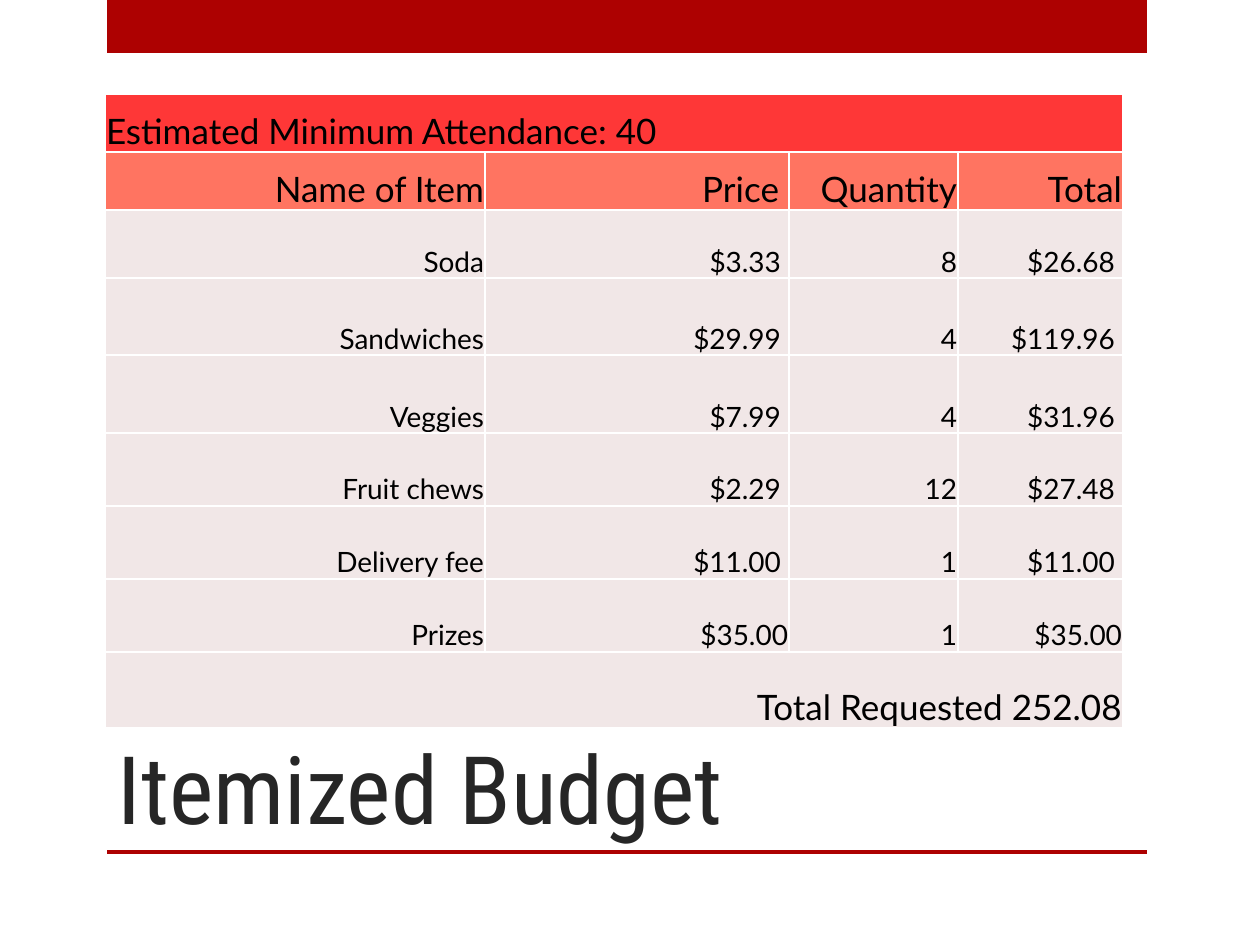
from lxml import etree
from pptx import Presentation
from pptx.dml.color import RGBColor
from pptx.enum.shapes import MSO_SHAPE
from pptx.enum.text import MSO_ANCHOR, MSO_AUTO_SIZE, PP_ALIGN
from pptx.oxml.ns import qn
from pptx.util import Pt

RECT = MSO_SHAPE.RECTANGLE
BOTTOM = MSO_ANCHOR.BOTTOM
LEFT, RIGHT = PP_ALIGN.LEFT, PP_ALIGN.RIGHT
NO_FIT = MSO_AUTO_SIZE.NONE
PX = 914400 / 126
COLORS = {"bar": "AD0101", "title": "262626", "text": "000000", "line": "FFFFFF",
          "banner": "FE3737", "head": "FF7461", "body": "F1E7E7"}


def px(*vals):
    return [round(v * PX) for v in vals]


def write(frame, text, size, font, color, align):
    para = frame.paragraphs[0]
    para.alignment = align
    run = para.add_run()
    run.text = text
    run.font.size = Pt(size)
    run.font.name = font
    run.font.color.rgb = RGBColor.from_string(COLORS[color])


prs = Presentation()
prs.slide_width, prs.slide_height = px(1260, 945)
slide = prs.slides.add_slide(prs.slide_layouts[5])

title = slide.shapes.title
title.left, title.top, title.width, title.height = px(105, 630, 935, 220)
frame = title.text_frame
frame.word_wrap = True
frame.auto_size = NO_FIT
frame.vertical_anchor = BOTTOM
write(frame, "Itemized Budget", 54, "Roboto Condensed", "title", LEFT)

for top, height in [(0, 53), (850, 4)]:
    bar = slide.shapes.add_shape(RECT, *px(107, top, 1040, height))
    bar.shadow.inherit = False
    bar.fill.solid()
    bar.fill.fore_color.rgb = RGBColor.from_string(COLORS["bar"])
    bar.line.fill.background()

rows = [
    ["Estimated Minimum Attendance: 40"],
    ["Name of Item", "Price ", "Quantity", "Total"],
    ["Soda", "$3.33 ", "8", "$26.68 "],
    ["Sandwiches", "$29.99 ", "4", "$119.96 "],
    ["Veggies", "$7.99 ", "4", "$31.96 "],
    ["Fruit chews", "$2.29 ", "12", "$27.48 "],
    ["Delivery fee", "$11.00 ", "1", "$11.00 "],
    ["Prizes", "$35.00", "1", "$35.00"],
    ["Total Requested 252.08"],
]
widths = [380, 304, 169, 165]
heights = [58, 58, 68, 77, 78, 73, 73, 73, 76]
fills = ["banner", "head"] + ["body"] * 7

table = slide.shapes.add_table(len(rows), len(widths),
                               *px(105, 94, sum(widths), sum(heights))).table
for col, width in zip(table.columns, px(*widths)):
    col.width = width

for r, (texts, height, fill) in enumerate(zip(rows, px(*heights), fills)):
    table.rows[r].height = height
    if len(texts) == 1:
        table.cell(r, 0).merge(table.cell(r, len(widths) - 1))
    for c in range(len(widths)):
        cell = table.cell(r, c)
        cell.vertical_anchor = BOTTOM
        cell.margin_left, cell.margin_right, cell.margin_top, cell.margin_bottom = px(1, 1, 1, 0)
        props = cell._tc.get_or_add_tcPr()
        for side in ["a:lnL", "a:lnR", "a:lnT", "a:lnB"]:
            line = etree.SubElement(props, qn(side), w=str(Pt(1)))
            solid = etree.SubElement(line, qn("a:solidFill"))
            etree.SubElement(solid, qn("a:srgbClr"), val=COLORS["line"])
        cell.fill.solid()
        cell.fill.fore_color.rgb = RGBColor.from_string(COLORS[fill])
        if c < len(texts):
            size = 20 if r in (0, 1, len(rows) - 1) else 16
            write(cell.text_frame, texts[c], size, "Lato", "text", RIGHT if r else LEFT)

prs.save("out.pptx")
